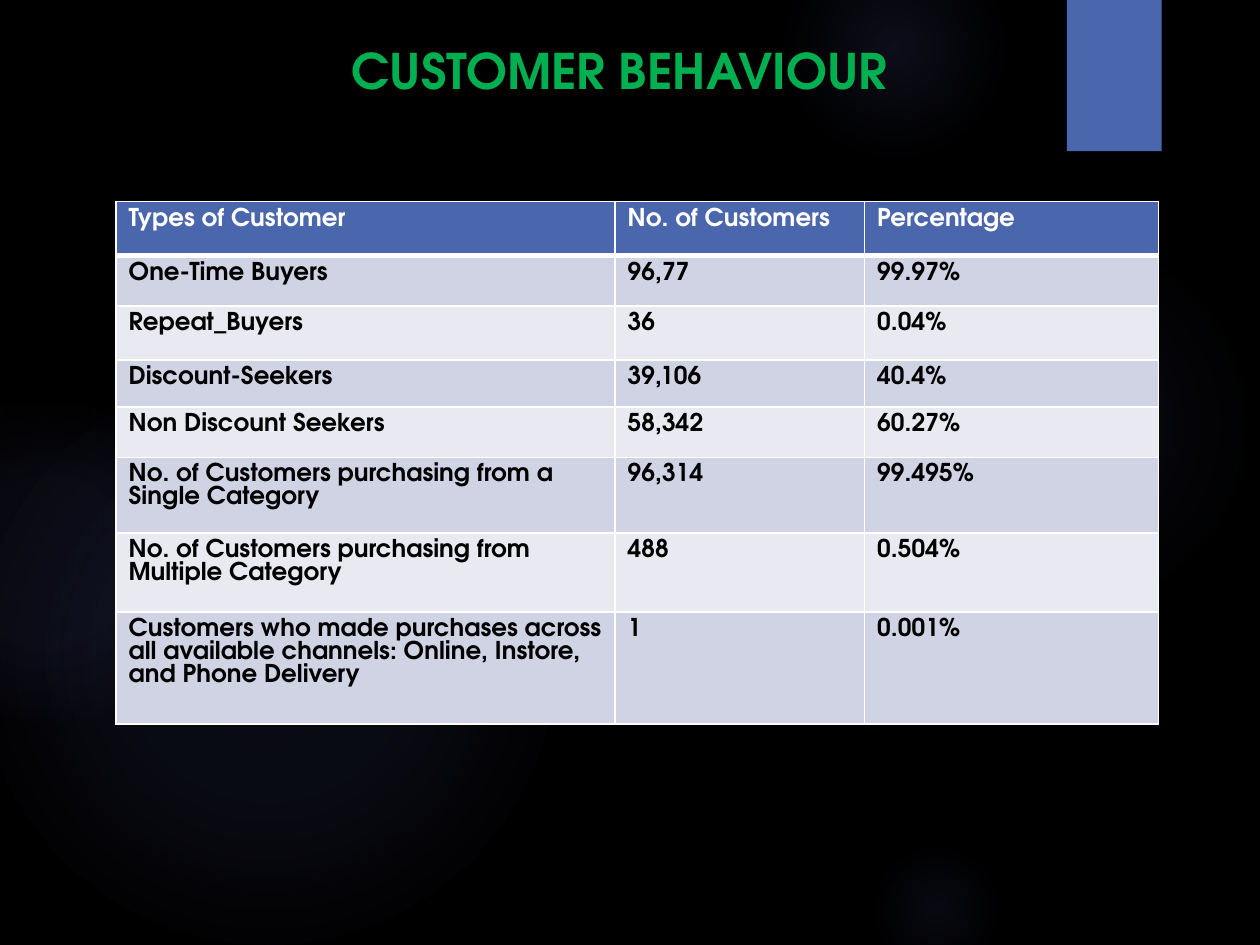
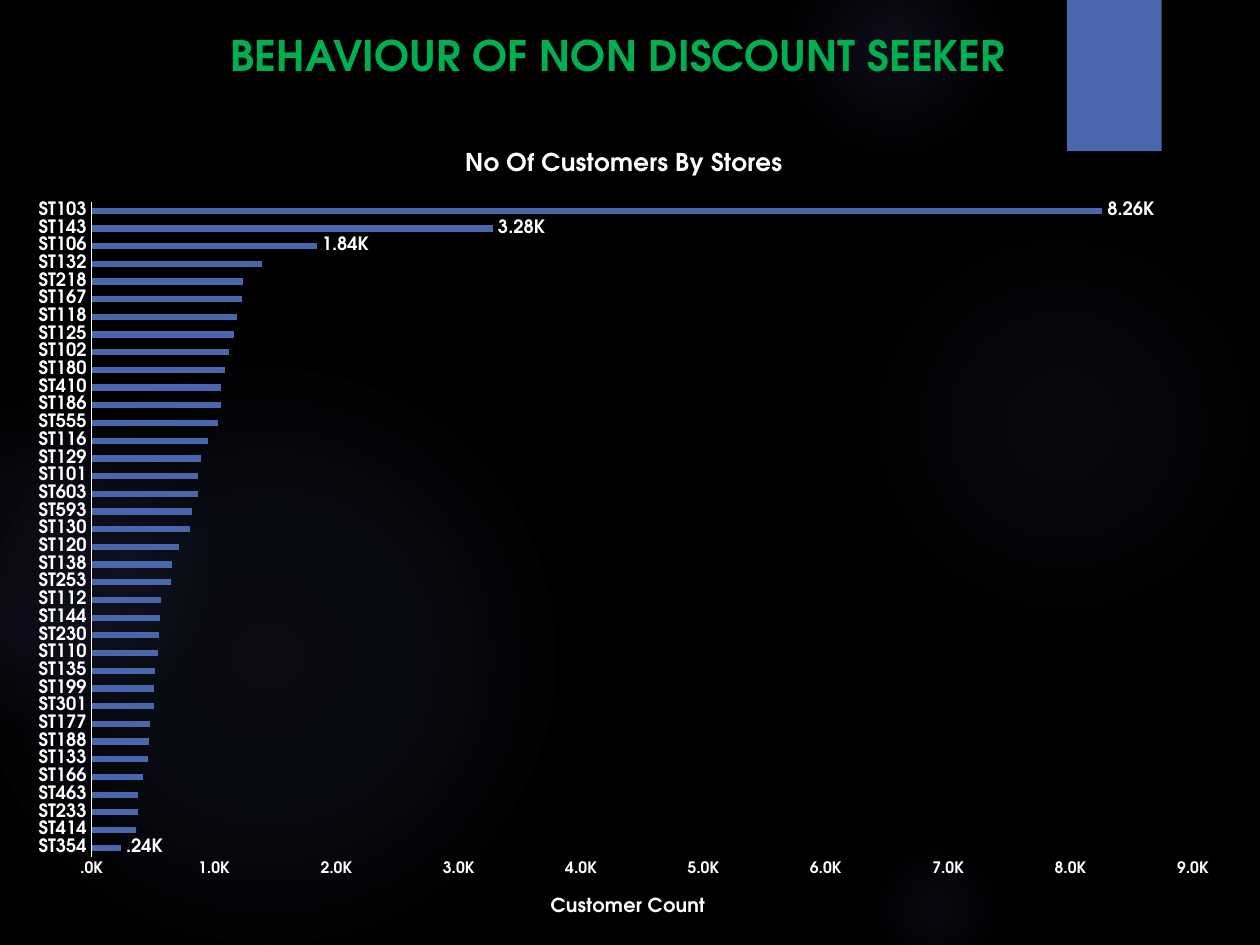
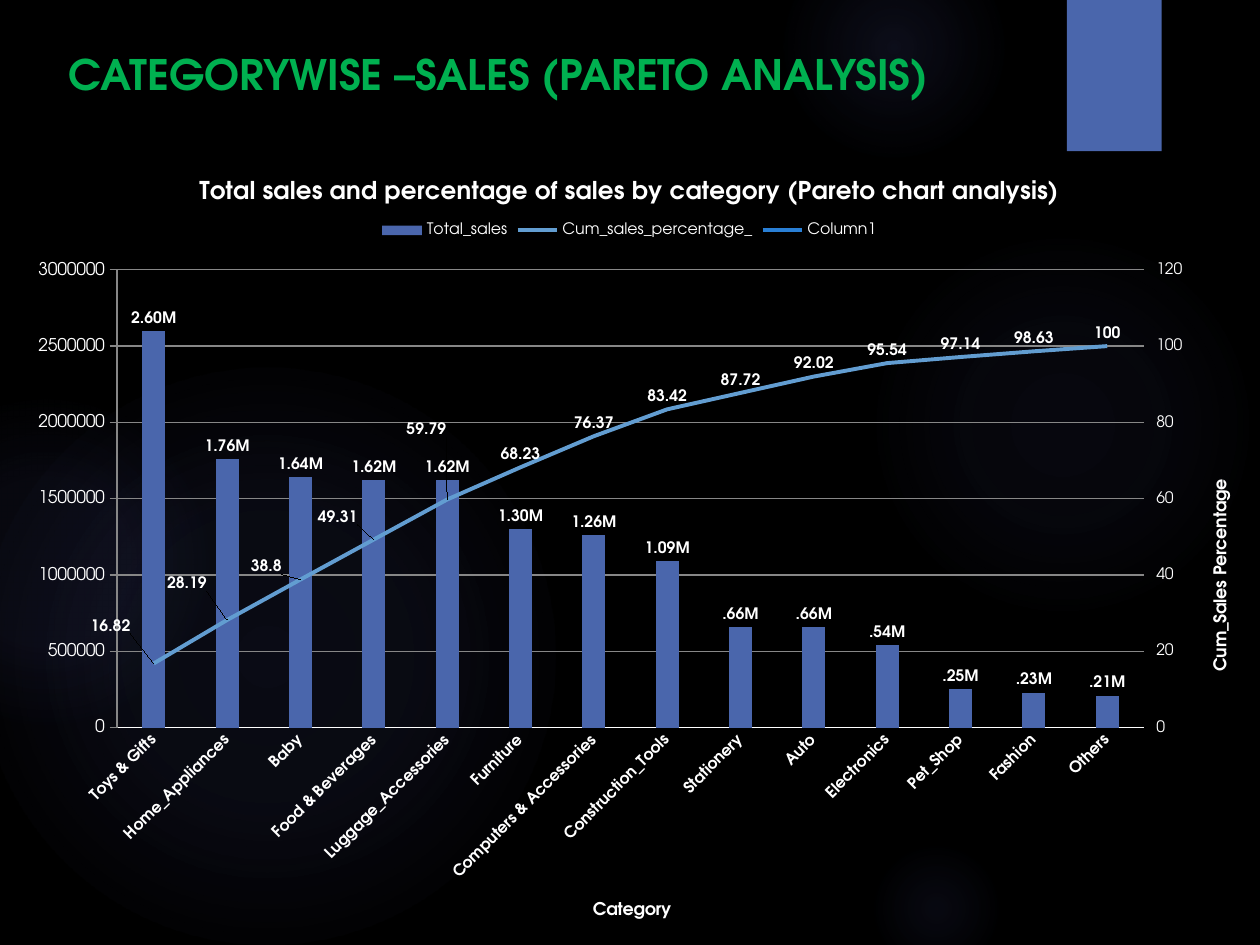
from pptx import Presentation
from pptx.chart.axis import ValueAxis
from pptx.chart.data import CategoryChartData
from pptx.dml.color import RGBColor
from pptx.enum.chart import (XL_CHART_TYPE, XL_LABEL_POSITION, XL_LEGEND_POSITION,
                             XL_MARKER_STYLE, XL_TICK_MARK)
from pptx.enum.shapes import MSO_SHAPE
from pptx.enum.text import MSO_ANCHOR, MSO_AUTO_SIZE, PP_ALIGN
from pptx.oxml import parse_xml
from pptx.oxml.ns import nsdecls, qn
from pptx.util import Cm, Pt

BAR, COLUMN = XL_CHART_TYPE.BAR_CLUSTERED, XL_CHART_TYPE.COLUMN_CLUSTERED
OUT_END, ABOVE = XL_LABEL_POSITION.OUTSIDE_END, XL_LABEL_POSITION.ABOVE
NO_TICK, OUT_TICK = XL_TICK_MARK.NONE, XL_TICK_MARK.OUTSIDE
NO_MARK = XL_MARKER_STYLE.NONE
TOP = XL_LEGEND_POSITION.TOP
LEFT, CENTER = PP_ALIGN.LEFT, PP_ALIGN.CENTER
MIDDLE, NO_FIT = MSO_ANCHOR.MIDDLE, MSO_AUTO_SIZE.NONE
OVAL, RECT = MSO_SHAPE.OVAL, MSO_SHAPE.RECTANGLE

FONT = "TeX Gyre Adventor"
BLACK = RGBColor(0x00, 0x00, 0x00)
WHITE = RGBColor(0xFF, 0xFF, 0xFF)
GREEN = RGBColor(0x00, 0xB0, 0x50)
BLUE = RGBColor(0x4A, 0x66, 0xAC)
SKY = RGBColor(0x62, 0x9D, 0xD1)
AZURE = RGBColor(0x29, 0x7F, 0xD5)
GLOW = RGBColor(0x5C, 0x64, 0xB7)
DARK = RGBColor(0xD0, 0xD3, 0xE3)
LIGHT = RGBColor(0xE9, 0xEA, 0xF1)


def style(font, size, color=WHITE, bold=True):
    font.name = FONT
    font.size = Pt(size)
    font.bold = bold
    font.color.rgb = color


def place(node, index, frame, spot, edge=True):
    """Fix a chart part at a spot in slide centimetres, or shift it if edge is False."""
    for old in node.findall(qn("c:layout")):
        node.remove(old)
    left, top, width, height = frame
    x, y = (spot[0] - left, spot[1] - top) if edge else spot
    parts = ['<c:layoutTarget val="inner"/>'] if len(spot) == 4 else []
    if edge:
        parts += ['<c:xMode val="edge"/>', '<c:yMode val="edge"/>']
    sizes = zip("xywh", (x, y, *spot[2:]), (width, height) * 2)
    parts += [f'<c:{tag} val="{size / base:.4f}"/>' for tag, size, base in sizes]
    node.insert(index, parse_xml(
        f'<c:layout {nsdecls("c")}><c:manualLayout>{"".join(parts)}</c:manualLayout></c:layout>'))


prs = Presentation()
prs.slide_width, prs.slide_height = Cm(25.4), Cm(19.05)
master = prs.slide_master
master.background.fill.solid()
master.background.fill.fore_color.rgb = BLACK

# Slides and their titles: text, left, top, width, size, alignment
TITLES = [
    ("CUSTOMER BEHAVIOUR", 1.63, 0.69, 21.72, 28, CENTER),
    ("BEHAVIOUR OF NON DISCOUNT SEEKER", 4.39, 0.38, 20.47, 24, LEFT),
    ("CATEGORYWISE –SALES (PARETO ANALYSIS)", 1.12, 0.76, 21.72, 24, LEFT),
]
slides = []
for text, left, top, width, size, align in TITLES:
    slide = prs.slides.add_slide(prs.slide_layouts[5])
    title = slide.shapes.title
    title.left, title.top, title.width, title.height = Cm(left), Cm(top), Cm(width), Cm(1.45)
    frame = title.text_frame
    frame.text = text
    frame.auto_size = NO_FIT
    frame.vertical_anchor = MIDDLE
    frame.paragraphs[0].alignment = align
    style(frame.paragraphs[0].runs[0].font, size, GREEN)
    slides.append(slide)
first, second, third = slides

# Master decor: glows as left, top, diameter, (stop, opacity) pairs, then the corner tab
GLOWS = [
    (17.5, 4.65, 7.82, ((0, 7), (36, 6), (69, 0))),
    (15.8, -1.27, 4.45, ((0, 14), (36, 7), (73, 0))),
    (17.5, 16.94, 2.74, ((0, 9), (36, 5), (66, 0))),
    (-0.43, 7.42, 11.63, ((0, 11), (36, 10), (75, 0))),
    (-2.34, 8.05, 6.55, ((0, 8), (36, 8), (72, 0))),
]
decor = []
for left, top, size, stops in GLOWS:
    glow = first.shapes.add_shape(OVAL, Cm(left), Cm(top), Cm(size), Cm(size))
    glow.fill.background()
    marks = "".join(
        f'<a:gs pos="{pos * 1000}"><a:srgbClr val="{GLOW}"><a:alpha val="{alpha * 1000}"/>'
        "</a:srgbClr></a:gs>" for pos, alpha in stops)
    props = glow.element.spPr
    props.replace(props.find(qn("a:noFill")), parse_xml(
        f'<a:gradFill {nsdecls("a")}><a:gsLst>{marks}</a:gsLst><a:path path="circle">'
        '<a:fillToRect l="50000" t="50000" r="50000" b="50000"/></a:path></a:gradFill>'))
    decor.append(glow)
tab = first.shapes.add_shape(RECT, Cm(21.51), Cm(0), Cm(1.91), Cm(3.05))
tab.fill.solid()
tab.fill.fore_color.rgb = BLUE
decor.append(tab)
anchor = master.shapes[0].element
for number, shape in enumerate(decor, 101):
    shape.line.fill.background()
    shape.shadow.inherit = False
    shape.element.nvSpPr.cNvPr.set("id", str(number))
    anchor.addprevious(shape.element)

# Slide 1: table of customer types
ROWS = [
    ("Types of Customer", "No. of Customers", "Percentage"),
    ("One-Time Buyers", "96,77", "99.97%"),
    ("Repeat_Buyers", "36", "0.04%"),
    ("Discount-Seekers", "39,106", "40.4%"),
    ("Non Discount Seekers", "58,342", "60.27%"),
    ("No. of Customers purchasing from a Single Category", "96,314", "99.495%"),
    ("No. of Customers purchasing from Multiple Category", "488", "0.504%"),
    ("Customers who made purchases across all available channels: "
     "Online, Instore, and Phone Delivery", "1", "0.001%"),
]
WIDTHS = (10.06, 5.03, 5.92)
HEIGHTS = (1.09, 1.02, 1.09, 0.94, 1.02, 1.52, 1.6, 2.26)
table = first.shapes.add_table(len(ROWS), 3, Cm(2.34), Cm(4.06),
                               Cm(sum(WIDTHS)), Cm(sum(HEIGHTS))).table
for column, width in zip(table.columns, WIDTHS):
    column.width = Cm(width)
for r, texts in enumerate(ROWS):
    table.rows[r].height = Cm(HEIGHTS[r])
    for c, text in enumerate(texts):
        cell = table.cell(r, c)
        cell.text_frame.text = text
        line = cell.text_frame.paragraphs[0]
        line.line_spacing = Pt(13.1)
        style(line.runs[0].font, 14, BLACK if r else WHITE)
        cell.fill.solid()
        cell.fill.fore_color.rgb = (DARK if r % 2 else LIGHT) if r else BLUE
        props = cell._tc.get_or_add_tcPr()
        for i, side in enumerate("LRTB"):
            thick = (r, side) in ((0, "B"), (1, "T"))
            props.insert(i, parse_xml(
                f'<a:ln{side} {nsdecls("a")} w="{Pt(3 if thick else 1)}"><a:solidFill>'
                f'<a:srgbClr val="{WHITE}"/></a:solidFill></a:ln{side}>'))

# Slide 2: customers by store, smallest first
STORES = ("ST354 ST414 ST233 ST463 ST166 ST133 ST188 ST177 ST301 ST199 ST135 ST110 ST230 "
          "ST144 ST112 ST253 ST138 ST120 ST130 ST593 ST603 ST101 ST129 ST116 ST555 ST186 "
          "ST410 ST180 ST102 ST125 ST118 ST167 ST218 ST132 ST106 ST143 ST103").split()
COUNTS = (240, 360, 380, 380, 420, 460, 470, 480, 510, 510, 520, 540, 550, 560, 570, 650,
          660, 710, 800, 820, 870, 870, 890, 950, 1030, 1060, 1060, 1090, 1120, 1160, 1190,
          1230, 1240, 1390, 1840, 3280, 8260)
store_data = CategoryChartData()
store_data.categories = STORES
store_data.add_series("Series 1", COUNTS)
store_box = (0.28, 2.51, 24.59, 16.54)
stores = second.shapes.add_chart(BAR, *map(Cm, store_box), store_data).chart

# Slide 3: sales by category with their running share
GROUPS = ("Toys & Gifts", "Home_Appliances", "Baby", "Food & Beverages",
          "Luggage_Accessories", "Furniture", "Computers & Accessories",
          "Construction_Tools", "Stationery", "Auto", "Electronics", "Pet_Shop",
          "Fashion", "Others")
SALES = (2.6, 1.76, 1.64, 1.62, 1.62, 1.3, 1.26, 1.09, 0.66, 0.66, 0.54, 0.25, 0.23, 0.21)
SHARES = (16.82, 28.19, 38.8, 49.31, 59.79, 68.23, 76.37, 83.42, 87.72, 92.02, 95.54,
          97.14, 98.63, 100)
sale_data = CategoryChartData()
sale_data.categories = GROUPS
sale_data.add_series("Total_sales", [round(sale * 1000000) for sale in SALES])
sale_data.add_series("Cum_sales_percentage_", SHARES)
sale_data.add_series("Column1", [None] * len(GROUPS))
sale_box = (0, 3.1, 25.4, 15.95)
sales = third.shapes.add_chart(COLUMN, *map(Cm, sale_box), sale_data).chart

# Move the last two series to lines on a right axis
area = sales.element.find(".//" + qn("c:plotArea"))
bars = area.find(qn("c:barChart"))
lines = parse_xml(
    f'<c:lineChart {nsdecls("c")}><c:grouping val="standard"/><c:varyColors val="0"/>'
    '<c:marker val="1"/><c:axId val="501"/><c:axId val="502"/></c:lineChart>')
bars.addnext(lines)
moved = bars.findall(qn("c:ser"))[1:]
for i, ser in enumerate(moved):
    for flag in ser.findall(qn("c:invertIfNegative")):
        ser.remove(flag)
    lines.insert(2 + i, ser)
right_node = parse_xml(
    f'<c:valAx {nsdecls("c")}><c:axId val="502"/><c:scaling/><c:delete val="0"/>'
    '<c:axPos val="r"/><c:majorTickMark val="out"/><c:minorTickMark val="none"/>'
    '<c:tickLblPos val="nextTo"/><c:crossAx val="501"/><c:crosses val="max"/></c:valAx>')
hidden = parse_xml(
    f'<c:catAx {nsdecls("c")}><c:axId val="501"/><c:scaling/><c:delete val="1"/>'
    '<c:axPos val="b"/><c:majorTickMark val="none"/><c:minorTickMark val="none"/>'
    '<c:tickLblPos val="nextTo"/><c:crossAx val="502"/><c:crosses val="autoZero"/></c:catAx>')
area.find(qn("c:valAx")).addnext(right_node)
right_node.addnext(hidden)
right = ValueAxis(right_node)

# Both charts: title and its spot, plot area, gap, label size and format
CHARTS = [
    (stores, store_box, "No Of Customers By Stores", (9.29, 2.94),
     (1.85, 4.07, 22.2, 13.2), 182, 10.5, '#.00,"K";\\-#.00,"K"'),
    (sales, sale_box, "Total sales and percentage of sales by category (Pareto chart analysis)",
     (3.93, 3.51), (2.36, 5.44, 20.7, 9.23), 219, 9, '#.00,,"M";\\-#.00,,"M"'),
]
for chart, box, text, spot, inner, gap, size, form in CHARTS:
    style(chart.font, 10, bold=False)
    chart.has_title = True
    chart.has_legend = False
    head = chart.chart_title
    head.text_frame.text = text
    style(head.text_frame.paragraphs[0].runs[0].font, 14)
    place(head.text_frame._txBody.getparent().getparent(), 1, box, spot)
    place(chart.element.find(".//" + qn("c:plotArea")), 0, box, inner)
    plot = chart.plots[0]
    plot.gap_width = gap
    plot.vary_by_categories = False
    series = plot.series[0]
    series.format.fill.solid()
    series.format.fill.fore_color.rgb = BLUE
    labels = series.data_labels
    labels.show_value = True
    labels.position = OUT_END
    labels.number_format = form
    labels.number_format_is_linked = False
    style(labels.font, size)
    names = chart.category_axis
    names.major_tick_mark = NO_TICK
    names.has_major_gridlines = False
    names.format.line.color.rgb = WHITE
    names.format.line.width = Pt(0.75)
    style(names.tick_labels.font, size)
sales.plots[0].overlap = -27

# Value axes: top, step, format, bold labels
VALUES = [
    (stores.value_axis, 9000, 1000, '#.0,"K";\\-#.0,"K"', True),
    (sales.value_axis, 3000000, 500000, '#.0,,"M";\\-#.0,,"M"', False),
    (right, 120, 20, "General", False),
]
for axis, peak, step, form, bold in VALUES:
    axis.minimum_scale, axis.maximum_scale, axis.major_unit = 0, peak, step
    axis.has_major_gridlines = False
    axis.major_tick_mark = NO_TICK
    axis.format.line.fill.background()
    axis.tick_labels.number_format = form
    axis.tick_labels.number_format_is_linked = False
    style(axis.tick_labels.font, 9, bold=bold)
right.major_tick_mark = OUT_TICK

# Axis titles: text, size, spot, turn in degrees
NAMES = [
    (stores.value_axis, store_box, "Customer Count", 11, (11.03, 17.98), 0),
    (sales.category_axis, sale_box, "Category", 10, (11.89, 18.08), 0),
    (sales.value_axis, sale_box, "Sales in Millions", 10, (0.46, 10.2), -90),
    (right, sale_box, "Cum_Sales Percentage", 10, (24.35, 9.6), -90),
]
for axis, box, text, size, spot, turn in NAMES:
    axis.has_title = True
    frame = axis.axis_title.text_frame
    frame.text = text
    style(frame.paragraphs[0].runs[0].font, size)
    rich = frame._txBody
    body = rich.find(qn("a:bodyPr"))
    body.set("rot", str(turn * 60000))
    body.set("vert", "horz")
    place(rich.getparent().getparent(), 1, box, spot)

# Store labels: only the smallest and the three largest show
marks = stores.element.find(".//" + qn("c:dLbls"))
for i in range(1, len(STORES) - 3):
    marks.insert(i - 1, parse_xml(
        f'<c:dLbl {nsdecls("c")}><c:idx val="{i}"/><c:delete val="1"/></c:dLbl>'))

# Pareto lines, slanted names and legend
for series, color in zip(sales.plots[1].series, (SKY, AZURE)):
    series.smooth = False
    series.marker.style = NO_MARK
    series.format.line.color.rgb = color
    series.format.line.width = Pt(2.25)
share = sales.plots[1].series[0]
share.data_labels.show_value = True
share.data_labels.position = ABOVE
style(share.data_labels.font, 9)
SHIFTS = ((-0.87, -0.5), (-0.81, -0.48), (-0.69, 0), (-0.73, -0.2), (-0.42, -1.15))
for i, shift in enumerate(SHIFTS):
    label = share.points[i].data_label
    label.position = ABOVE
    style(label.font, 9)
    place(moved[0].findall(".//" + qn("c:dLbl"))[i], 1, sale_box, shift, edge=False)
slant = area.find(qn("c:catAx")).find(qn("c:txPr")).find(qn("a:bodyPr"))
slant.set("rot", str(-45 * 60000))
slant.set("vert", "horz")
sales.has_legend = True
sales.legend.position = TOP
sales.legend.include_in_layout = False
style(sales.legend.font, 9, bold=False)
place(sales.element.find(".//" + qn("c:legend")), 1, sale_box, (7.6, 4.4))

prs.save("out.pptx")
